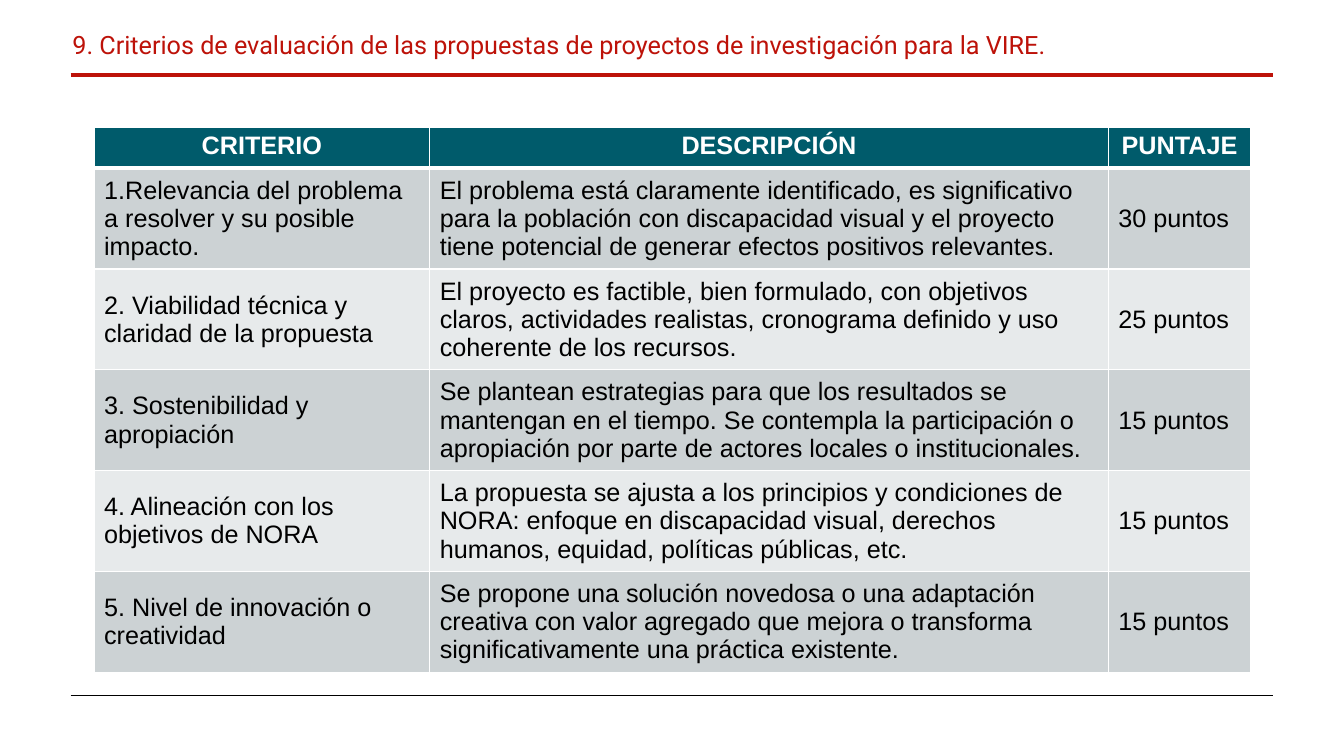
from lxml.etree import SubElement
from pptx import Presentation
from pptx.dml.color import RGBColor
from pptx.enum.shapes import MSO_CONNECTOR
from pptx.enum.text import MSO_ANCHOR, MSO_AUTO_SIZE, PP_ALIGN
from pptx.oxml.ns import qn
from pptx.util import Cm, Pt

RED = RGBColor(0xBD, 0x12, 0x09)
TEAL = RGBColor(0x00, 0x5B, 0x6B)
DARK_BAND = RGBColor(0xCC, 0xD2, 0xD4)
LIGHT_BAND = RGBColor(0xE7, 0xEA, 0xEB)
BLACK = RGBColor(0x00, 0x00, 0x00)
WHITE = RGBColor(0xFF, 0xFF, 0xFF)

TITLE = "9. Criterios de evaluación de las propuestas de proyectos de investigación para la VIRE."
COLUMN_WIDTHS = [8.46, 17.1, 3.59]
HEADER_HEIGHT = 1.04
ROW_HEIGHT = 2.54
ROWS = [
    ("CRITERIO", "DESCRIPCIÓN", "PUNTAJE"),
    ("1.Relevancia del problema a resolver y su posible impacto.",
     "El problema está claramente identificado, es significativo para la población con "
     "discapacidad visual y el proyecto tiene potencial de generar efectos positivos relevantes.",
     "30 puntos"),
    ("2. Viabilidad técnica y claridad de la propuesta",
     "El proyecto es factible, bien formulado, con objetivos claros, actividades realistas, "
     "cronograma definido y uso coherente de los recursos.",
     "25 puntos"),
    ("3. Sostenibilidad y apropiación",
     "Se plantean estrategias para que los resultados se mantengan en el tiempo. Se contempla "
     "la participación o apropiación por parte de actores locales o institucionales.",
     "15 puntos"),
    ("4. Alineación con los objetivos de NORA",
     "La propuesta se ajusta a los principios y condiciones de NORA: enfoque en discapacidad "
     "visual, derechos humanos, equidad, políticas públicas, etc.",
     "15 puntos"),
    ("5. Nivel de innovación o creatividad",
     "Se propone una solución novedosa o una adaptación creativa con valor agregado que mejora "
     "o transforma significativamente una práctica existente.",
     "15 puntos"),
]


def add_border(cell, side, width):
    """Add a white border; side is L, R, T or B, in that order within a cell."""
    line = SubElement(cell._tc.get_or_add_tcPr(), qn(f"a:ln{side}"), w=str(Pt(width)))
    fill = SubElement(line, qn("a:solidFill"))
    SubElement(fill, qn("a:srgbClr"), val=str(WHITE))


presentation = Presentation()
presentation.slide_width = Cm(33.87)
presentation.slide_height = Cm(19.05)
slide = presentation.slides.add_slide(presentation.slide_layouts[5])

# Rules above and below the content
for y, color, width in [(1.88, RED, 3), (17.53, BLACK, 0.5)]:
    rule = slide.shapes.add_connector(
        MSO_CONNECTOR.STRAIGHT, Cm(1.78), Cm(y), Cm(32.08), Cm(y))
    rule.line.color.rgb = color
    rule.line.width = Pt(width)
    SubElement(rule._element.spPr, qn("a:effectLst"))

# Title
title = slide.shapes.title
title.left, title.top, title.width, title.height = Cm(1.57), Cm(0.46), Cm(29.16), Cm(3.23)
title_frame = title.text_frame
title_frame.text = TITLE
title_frame.word_wrap = True
title_frame.auto_size = MSO_AUTO_SIZE.NONE
title_frame.vertical_anchor = MSO_ANCHOR.TOP
paragraph = title_frame.paragraphs[0]
paragraph.alignment = PP_ALIGN.LEFT
paragraph.line_spacing = 1.2
paragraph.space_before = Pt(10)
paragraph.font.name = "Roboto"
paragraph.font.size = Pt(18)
paragraph.font.color.rgb = RED

# Criteria table
table_height = HEADER_HEIGHT + ROW_HEIGHT * (len(ROWS) - 1)
table = slide.shapes.add_table(
    len(ROWS), len(COLUMN_WIDTHS), Cm(2.37), Cm(3.2),
    Cm(sum(COLUMN_WIDTHS)), Cm(table_height)).table
for column, width in zip(table.columns, COLUMN_WIDTHS):
    column.width = Cm(width)

for row_index, texts in enumerate(ROWS):
    is_header = row_index == 0
    table.rows[row_index].height = Cm(HEADER_HEIGHT if is_header else ROW_HEIGHT)
    band = DARK_BAND if row_index % 2 else LIGHT_BAND
    for column_index, text in enumerate(texts):
        cell = table.cell(row_index, column_index)
        cell.text = text
        cell.vertical_anchor = MSO_ANCHOR.TOP if is_header else MSO_ANCHOR.MIDDLE
        add_border(cell, "L", 1)
        add_border(cell, "R", 1)
        add_border(cell, "T", 3 if row_index == 1 else 1)
        add_border(cell, "B", 3 if is_header else 1)
        cell.fill.solid()
        cell.fill.fore_color.rgb = TEAL if is_header else band
        paragraph = cell.text_frame.paragraphs[0]
        paragraph.alignment = PP_ALIGN.CENTER if is_header else PP_ALIGN.LEFT
        paragraph.font.name = "Arial"
        paragraph.font.size = Pt(18)
        paragraph.font.bold = is_header
        paragraph.font.color.rgb = WHITE if is_header else BLACK

presentation.save("out.pptx")
